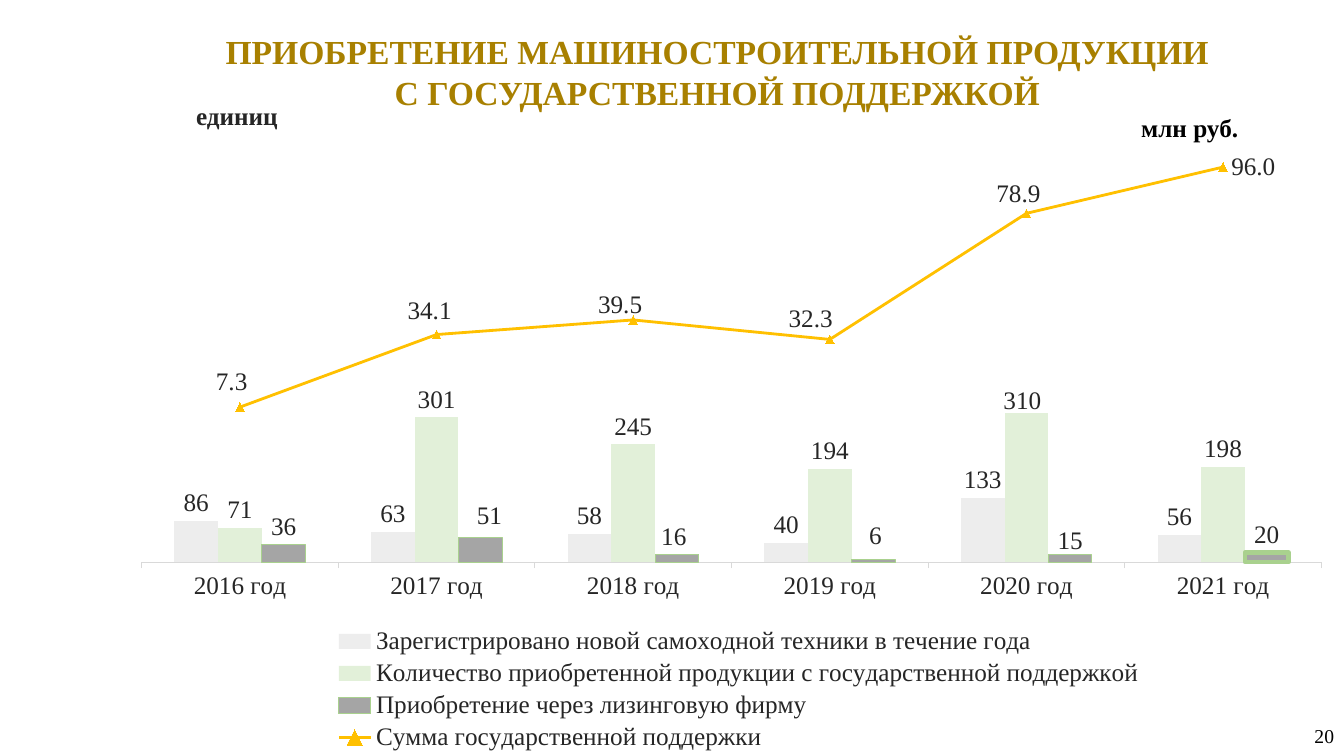
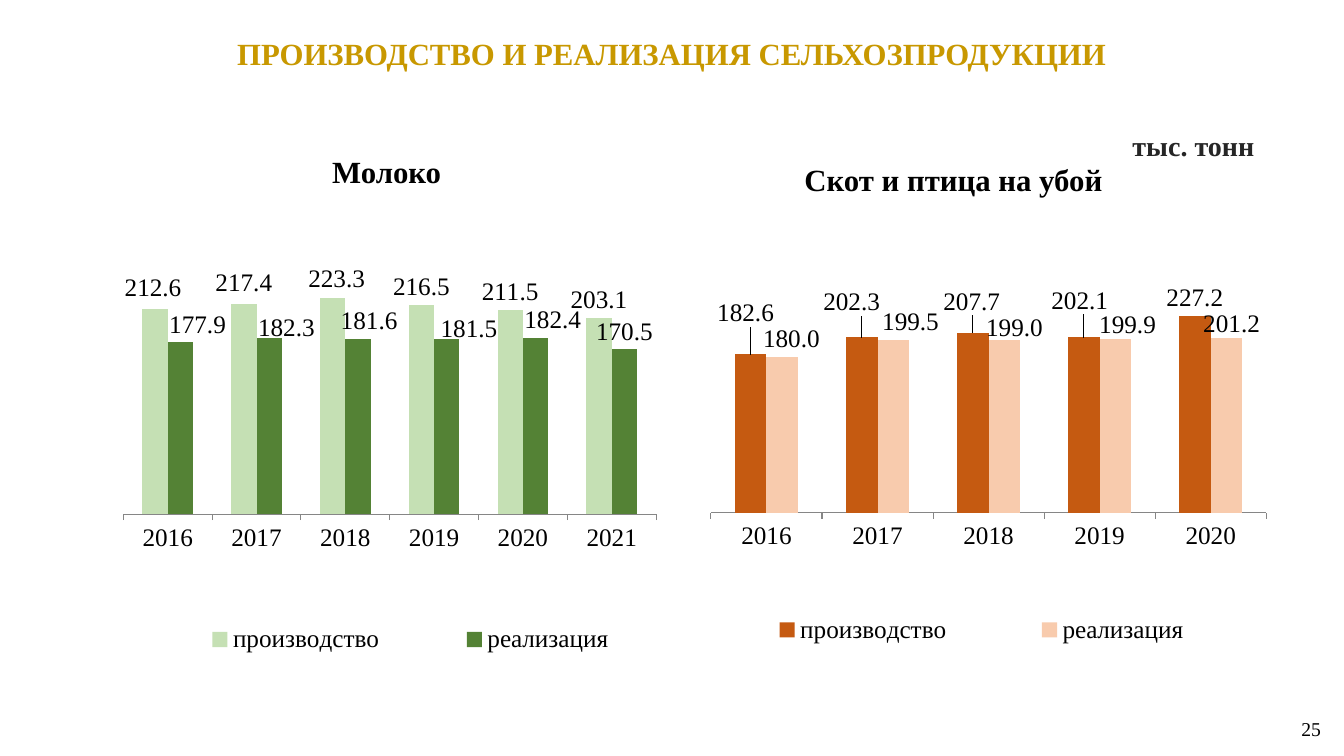
import copy

import lxml.etree
import pptx
import pptx.chart.data
import pptx.dml.color
import pptx.enum.chart
import pptx.enum.text
import pptx.oxml
import pptx.oxml.ns
import pptx.util

PX = 9144  # EMU in one px, 100 px to the inch
FONT = "Times New Roman"
COLORS = {
    "title": "A88000", "title_light": "C89800", "text": "262626", "black": "000000",
    "axis_light": "D9D9D9", "axis": "868686",
    "registered": "EDEDED", "supported": "E2F0D9", "leasing": "A5A5A5",
    "leasing_edge": "A9D18E", "support_sum": "FFC000",
    "milk_made": "C5E0B4", "milk_sold": "548235",
    "meat_made": "C55A11", "meat_sold": "F8CBAD",
}
ALIGN = pptx.enum.text.PP_ALIGN
ANCHOR = pptx.enum.text.MSO_ANCHOR
LABEL = pptx.enum.chart.XL_LABEL_POSITION
TICK = pptx.enum.chart.XL_TICK_MARK
qn = pptx.oxml.ns.qn
C_NS = 'xmlns:c="http://schemas.openxmlformats.org/drawingml/2006/chart"'
A_NS = 'xmlns:a="http://schemas.openxmlformats.org/drawingml/2006/main"'


def rgb(name):
    return pptx.dml.color.RGBColor.from_string(COLORS[name])


def apply(target, values):
    for name, value in values.items():
        setattr(target, name, value)


def layout_xml(x, y, w=None, h=None, inner=False):
    """Manual layout in fractions of the chart; without w and h it is an offset."""
    parts = [("layoutTarget", "inner")] if inner else []
    if w is not None:
        parts += [("xMode", "edge"), ("yMode", "edge")]
    parts += [("x", round(x, 4)), ("y", round(y, 4))]
    if w is not None:
        parts += [("w", w), ("h", h)]
    body = "".join(f'<c:{tag} val="{val}"/>' for tag, val in parts)
    return pptx.oxml.parse_xml(
        f"<c:layout {C_NS}><c:manualLayout>{body}</c:manualLayout></c:layout>")


class Deck:
    def __init__(self):
        self.prs = pptx.Presentation()
        apply(self.prs, {"slide_width": pptx.util.Emu(1333 * PX),
                         "slide_height": pptx.util.Emu(750 * PX)})
        self.s = None

    def slide(self):
        self.s = self.prs.slides.add_slide(self.prs.slide_layouts[6])

    def text(self, box, text, size, color="black", bold=True,
             align=ALIGN.LEFT, anchor=ANCHOR.TOP):
        sp = self.s.shapes.add_textbox(*(v * PX for v in box))
        tf = sp.text_frame
        apply(tf, {"word_wrap": True, "vertical_anchor": anchor})
        p = tf.paragraphs[0]
        p.text = text
        p.alignment = align
        for r in p.runs:
            apply(r.font, {"size": pptx.util.Pt(size), "name": FONT, "bold": bold})
            r.font.color.rgb = rgb(color)

    def title(self, box, text, size, color):
        self.text(box, text, size, color, align=ALIGN.CENTER, anchor=ANCHOR.MIDDLE)

    def number(self, box, text):
        self.text(box, text, 14, bold=False, align=ALIGN.RIGHT, anchor=ANCHOR.MIDDLE)

    def chart(self, box, cats, series, plot, legend, top, color, axis_color):
        data = pptx.chart.data.CategoryChartData()
        data.categories = cats
        for name, values, _ in series:
            data.add_series(name, values)
        chart = self.s.shapes.add_chart(
            pptx.enum.chart.XL_CHART_TYPE.COLUMN_CLUSTERED,
            *(v * PX for v in box), data).chart
        apply(chart, {"has_title": False, "has_legend": True})
        apply(chart.font, {"size": pptx.util.Pt(18), "name": FONT})
        chart.font.color.rgb = rgb(color)
        apply(chart.plots[0], {"gap_width": 150, "vary_by_categories": False})
        # axes
        apply(chart.value_axis, {"minimum_scale": 0, "maximum_scale": top,
                                 "has_major_gridlines": False, "visible": False})
        apply(chart.category_axis, {"major_tick_mark": TICK.OUTSIDE,
                                    "has_major_gridlines": False})
        line = chart.category_axis.format.line
        line.color.rgb = rgb(axis_color)
        line.width = pptx.util.Pt(0.75)
        # plot area and legend places
        area = chart.plots[0]._element.getparent()
        for old in area.findall(qn("c:layout")):
            area.remove(old)
        area.insert(0, layout_xml(*plot, inner=True))
        apply(chart.legend, {"include_in_layout": False,
                             "position": pptx.enum.chart.XL_LEGEND_POSITION.BOTTOM})
        leg = chart.legend._element
        for old in leg.findall(qn("c:layout")):
            leg.remove(old)
        leg.find(qn("c:legendPos")).addnext(layout_xml(*legend))
        # columns
        for ser, (_, _, fill) in zip(chart.plots[0].series, series):
            ser.format.fill.solid()
            ser.format.fill.fore_color.rgb = rgb(fill)
        return chart

    def line_on_right(self, chart, low, high):
        """Move the last column series to a line on a second value axis."""
        bar = chart.plots[0]._element
        ser = bar.findall(qn("c:ser"))[-1]
        for tag in ("c:invertIfNegative", "c:spPr"):
            for old in ser.findall(qn(tag)):
                ser.remove(old)
        line = pptx.oxml.parse_xml(
            f'<c:lineChart {C_NS}><c:grouping val="standard"/><c:varyColors val="0"/>'
            '<c:marker val="1"/><c:axId val="5001"/><c:axId val="5002"/></c:lineChart>')
        line.insert(2, ser)
        bar.addnext(line)
        axis = ('<c:{kind} {ns}><c:axId val="{own}"/><c:scaling><c:orientation val="minMax"/>'
                '{limits}</c:scaling><c:delete val="{hidden}"/><c:axPos val="{side}"/>'
                '<c:majorTickMark val="none"/><c:minorTickMark val="none"/>'
                '<c:tickLblPos val="none"/><c:spPr><a:ln><a:noFill/></a:ln></c:spPr>'
                '<c:crossAx val="{other}"/><c:crosses val="{cross}"/></c:{kind}>')
        limits = f'<c:max val="{high}"/><c:min val="{low}"/>'
        last = chart.value_axis._element
        for values in (
                dict(kind="valAx", own=5002, other=5001, limits=limits,
                     hidden=0, side="r", cross="max"),
                dict(kind="catAx", own=5001, other=5002, limits="",
                     hidden=1, side="b", cross="autoZero")):
            last.addnext(pptx.oxml.parse_xml(
                axis.format(ns=f"{C_NS} {A_NS}", **values)))
        return chart.plots[1].series[0]

    def labels(self, ser, box, fmt, color, shifts, position=LABEL.OUTSIDE_END):
        """Value labels; shifts maps a point to its label offset in px."""
        labels = ser.data_labels
        apply(labels, {"show_value": True, "number_format": fmt,
                       "number_format_is_linked": False, "position": position})
        apply(labels.font, {"size": pptx.util.Pt(18), "name": FONT})
        labels.font.color.rgb = rgb(color)
        group = ser._element.find(qn("c:dLbls"))
        for i, (dx, dy) in shifts.items():
            ser.points[i].data_label.position = position
            item = group.xpath(f'c:dLbl[c:idx/@val="{i}"]')[0]
            for tag in ("c:layout", "c:numFmt", "c:txPr"):
                for old in item.findall(qn(tag)):
                    item.remove(old)
            last = item.find(qn("c:idx"))
            for part in (layout_xml(dx / box[2], dy / box[3]),
                         copy.deepcopy(group.find(qn("c:numFmt"))),
                         copy.deepcopy(group.find(qn("c:txPr")))):
                last.addnext(part)
                last = part


def support_slide(deck):
    deck.slide()
    deck.title((110, 15, 1203, 112),
               "ПРИОБРЕТЕНИЕ МАШИНОСТРОИТЕЛЬНОЙ ПРОДУКЦИИ\vС ГОСУДАРСТВЕННОЙ ПОДДЕРЖКОЙ",
               24, "title")
    deck.text((140, 95, 190, 40), "единиц", 18, "text", align=ALIGN.CENTER)
    box = (140, 107, 1173, 643)
    series = [
        ("Зарегистрировано новой самоходной техники в течение года",
         (86, 63, 58, 40, 133, 56), "registered"),
        ("Количество приобретенной продукции с государственной поддержкой",
         (71, 301, 245, 194, 310, 198), "supported"),
        ("Приобретение через лизинговую фирму", (36, 51, 16, 6, 15, 20), "leasing"),
        ("Сумма государственной поддержки",
         (7.3, 34.1, 39.5, 32.3, 78.9, 96), "support_sum"),
    ]
    chart = deck.chart(box, [f"{year} год" for year in range(2016, 2022)], series,
                       (0, 0.033, 0.998, 0.668), (0.16, 0.795, 0.69, 0.205),
                       900, "text", "axis_light")
    total = deck.line_on_right(chart, -50, 110)

    # columns
    shifts = ({}, {4: (-4, 6)}, {1: (9, -4), 2: (-3, 0), 3: (2, -5), 4: (0, 4)})
    columns = list(chart.plots[0].series)
    for ser, moves in zip(columns, shifts):
        deck.labels(ser, box, "#,##0", "text", moves)
    leasing = columns[2]
    for part, width in ((leasing, 0.75), (leasing.points[5], 3)):
        part.format.line.color.rgb = rgb("leasing_edge")
        part.format.line.width = pptx.util.Pt(width)
    last_fill = leasing.points[5].format.fill
    last_fill.solid()
    last_fill.fore_color.rgb = rgb("leasing")

    # line
    total.smooth = False
    total.format.line.color.rgb = rgb("support_sum")
    total.format.line.width = pptx.util.Pt(2)
    apply(total.marker, {"style": pptx.enum.chart.XL_MARKER_STYLE.TRIANGLE, "size": 6})
    total.marker.format.fill.solid()
    total.marker.format.fill.fore_color.rgb = rgb("support_sum")
    total.marker.format.line.color.rgb = rgb("support_sum")
    deck.labels(total, box, "0.0", "text",
                {0: (-32, -25), 1: (-37, -23), 2: (-43, -15), 3: (-49, -20), 4: (-38, -19)},
                LABEL.RIGHT)

    deck.number((1022, 710, 311, 40), "20")
    deck.text((1122, 107, 142, 40), "млн руб.", 18)


def output_slide(deck):
    deck.slide()
    deck.title((115, 29, 1102, 47), "ПРОИЗВОДСТВО И РЕАЛИЗАЦИЯ СЕЛЬХОЗПРОДУКЦИИ",
               22, "title_light")
    deck.number((1274, 706, 46, 34), "25")
    products = [
        ("Скот и птица на убой", (760, 155, 371, 47), (675, 233, 591, 417),
         (0.051, 0.042, 0.932, 0.619), (0.02, 0.89, 0.97, 0.1),
         (182.6, 202.3, 207.7, 202.1, 227.2), (180, 199.5, 199, 199.9, 201.2), "meat",
         {0: (-5, -23), 1: (-10, -17), 2: (-1, -13), 3: (-4, -19)},
         {0: (9, 0), 1: (17, 0), 2: (10, 6), 3: (12, 3), 4: (5, 4)}),
        ("Молоко", (241, 147, 285, 47), (115, 202, 567, 465),
         (0.013, 0.044, 0.932, 0.619), (0.03, 0.88, 0.97, 0.1),
         (212.6, 217.4, 223.3, 216.5, 211.5, 203.1),
         (177.9, 182.3, 181.6, 181.5, 182.4, 170.5), "milk",
         {0: (-2, -3), 1: (0, -3), 2: (4, -2)},
         {0: (17, 0), 1: (17, 8), 2: (11, 0), 3: (22, 8), 4: (17, 0)}),
    ]
    for name, name_box, box, plot, legend, made, sold, key, *shifts in products:
        cats = [str(2016 + i) for i in range(len(made))]
        series = [("производство", made, f"{key}_made"), ("реализация", sold, f"{key}_sold")]
        chart = deck.chart(box, cats, series, plot, legend, 300, "black", "axis")
        for ser, moves in zip(chart.plots[0].series, shifts):
            deck.labels(ser, box, "0.0", "black", moves)
        deck.text(name_box, name, 22, align=ALIGN.CENTER)
    deck.text((1100, 123, 154, 44), "тыс. тонн", 20, "text", align=ALIGN.RIGHT)


def main():
    deck = Deck()
    support_slide(deck)
    output_slide(deck)
    deck.prs.save("out.pptx")


if __name__ == "__main__":
    main()
